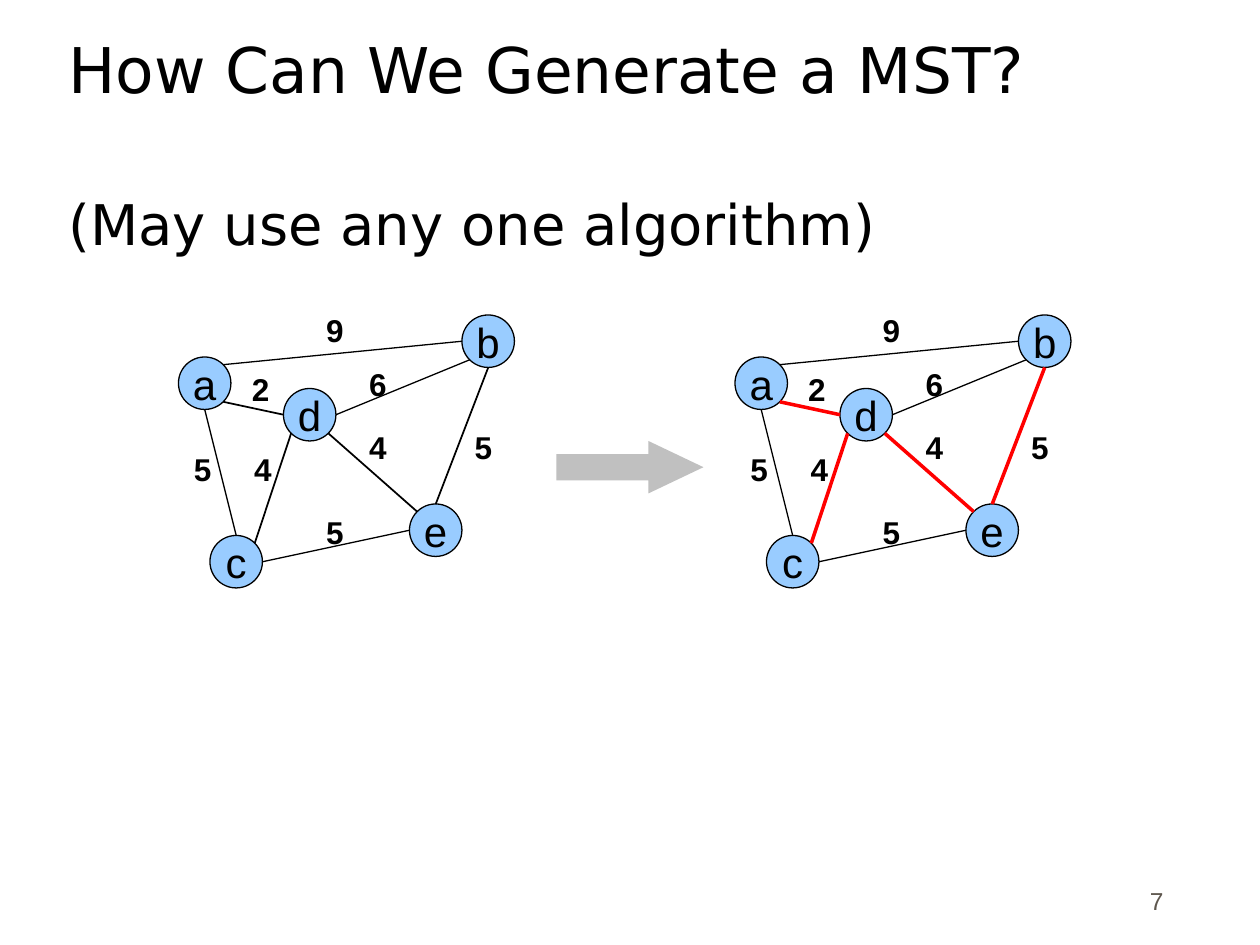
"""Build a slide showing a weighted graph and its minimum spanning tree."""
from math import cos, radians, sin

from lxml import etree
from pptx import Presentation
from pptx.dml.color import RGBColor
from pptx.enum.shapes import MSO_CONNECTOR, MSO_SHAPE
from pptx.enum.text import MSO_ANCHOR, PP_ALIGN
from pptx.oxml.ns import qn
from pptx.util import Pt

OVAL, ARROW = MSO_SHAPE.OVAL, MSO_SHAPE.RIGHT_ARROW
LINE = MSO_CONNECTOR.STRAIGHT
BOTTOM, MIDDLE = MSO_ANCHOR.BOTTOM, MSO_ANCHOR.MIDDLE
LEFT, CENTER, RIGHT = PP_ALIGN.LEFT, PP_ALIGN.CENTER, PP_ALIGN.RIGHT

BLACK, RED, BLUE, SILVER, GRAY = "000000", "FF0000", "99CCFF", "C0C0C0", "5E574E"
TITLE = [("How Can We Generate a MST?", 36), ("(May use any one algorithm)", 32)]
PAGE = "7"
NODES = {"a": (102, 204), "c": (120, 306), "e": (234, 288),
         "d": (162, 222), "b": (264, 180)}
EDGES = [
    ("a", "NE", "b", "W", "9", (179.3, 174.2), False),
    ("d", "E", "b", "SW", "6", (203.8, 205.2), False),
    ("a", "S", "c", "N", "5", (103.7, 253.4), False),
    ("a", "SE", "d", "W", "2", (136.8, 208), True),
    ("c", "NE", "d", "SW", "4", (138.2, 253.4), True),
    ("d", "SE", "e", "NW", "4", (203.8, 241.2), True),
    ("b", "S", "e", "N", "5", (264.2, 241.2), True),
    ("e", "W", "c", "E", "5", (179.3, 289.4), False),
]
SIDES = ["E", "SE", "S", "SW", "W", "NW", "N", "NE"]
SIZE = 30
GRAPHS = [(0, BLACK, 1), (318, RED, 2)]


def color(code):
    return RGBColor.from_string(code)


def style(par, size, font="Arial", tint=BLACK, bold=False, align=LEFT):
    par.alignment = align
    for run in par.runs:
        run.font.size, run.font.name, run.font.bold = Pt(size), font, bold
        run.font.color.rgb = color(tint)


def add_text(shapes, box, text, size, wrap=True, **look):
    frame = shapes.add_textbox(*map(Pt, box)).text_frame
    frame.word_wrap = wrap
    frame.text = text
    style(frame.paragraphs[0], size, **look)
    return frame


def add_shape(shapes, kind, box, fill):
    shape = shapes.add_shape(kind, *map(Pt, box))
    shape.shadow.inherit = False
    shape.fill.solid()
    shape.fill.fore_color.rgb = color(fill)
    return shape


def rim(node, side, shift):
    x, y = NODES[node]
    turn = radians(45 * SIDES.index(side))
    half = SIZE / 2
    return Pt(x + shift + half + half * cos(turn)), Pt(y + half + half * sin(turn))


def add_graph(slide, shift, tint, width):
    shapes = slide.shapes.add_group_shape().shapes
    for name, (x, y) in NODES.items():
        node = add_shape(shapes, OVAL, (x + shift, y, SIZE, SIZE), BLUE)
        node.line.color.rgb = color(BLACK)
        node.line.width = Pt(0.75)
        frame = node.text_frame
        frame.text = name
        frame.word_wrap = False
        frame.vertical_anchor = MIDDLE
        style(frame.paragraphs[0], 24, align=CENTER)
    for start, out, end, into, _, _, tree in EDGES:
        edge = shapes.add_connector(LINE, *rim(start, out, shift), *rim(end, into, shift))
        edge.line.color.rgb = color(tint if tree else BLACK)
        edge.line.width = Pt(width if tree else 0.75)
        etree.SubElement(edge._element.spPr, qn("a:effectLst"))
    for *_, weight, (x, y), _ in EDGES:
        add_text(shapes, (x + shift, y, 24.5, 29), weight, 18, wrap=False, bold=True)


def main():
    deck = Presentation()
    deck.slide_width, deck.slide_height = Pt(720), Pt(540)
    slide = deck.slides.add_slide(deck.slide_layouts[6])

    frame = add_text(slide.shapes, (32, 96, 612, 54),
                     "\n".join(text for text, _ in TITLE), 36)
    frame.vertical_anchor = BOTTOM
    for par, (_, size) in zip(frame.paragraphs, TITLE):
        style(par, size, font="DejaVu Sans")
    frame.paragraphs[1].space_before = Pt(47.5)

    for shift, tint, width in GRAPHS:
        add_graph(slide, shift, tint, width)

    arrow = add_shape(slide.shapes, ARROW, (318, 252, 84, 30), SILVER)
    arrow.line.fill.background()
    arrow.adjustments[1] = 1.05

    foot = add_text(slide.shapes, (522, 504, 150, 22.4), PAGE, 14, tint=GRAY, align=RIGHT)
    foot.vertical_anchor = BOTTOM
    deck.save("out.pptx")


if __name__ == "__main__":
    main()
